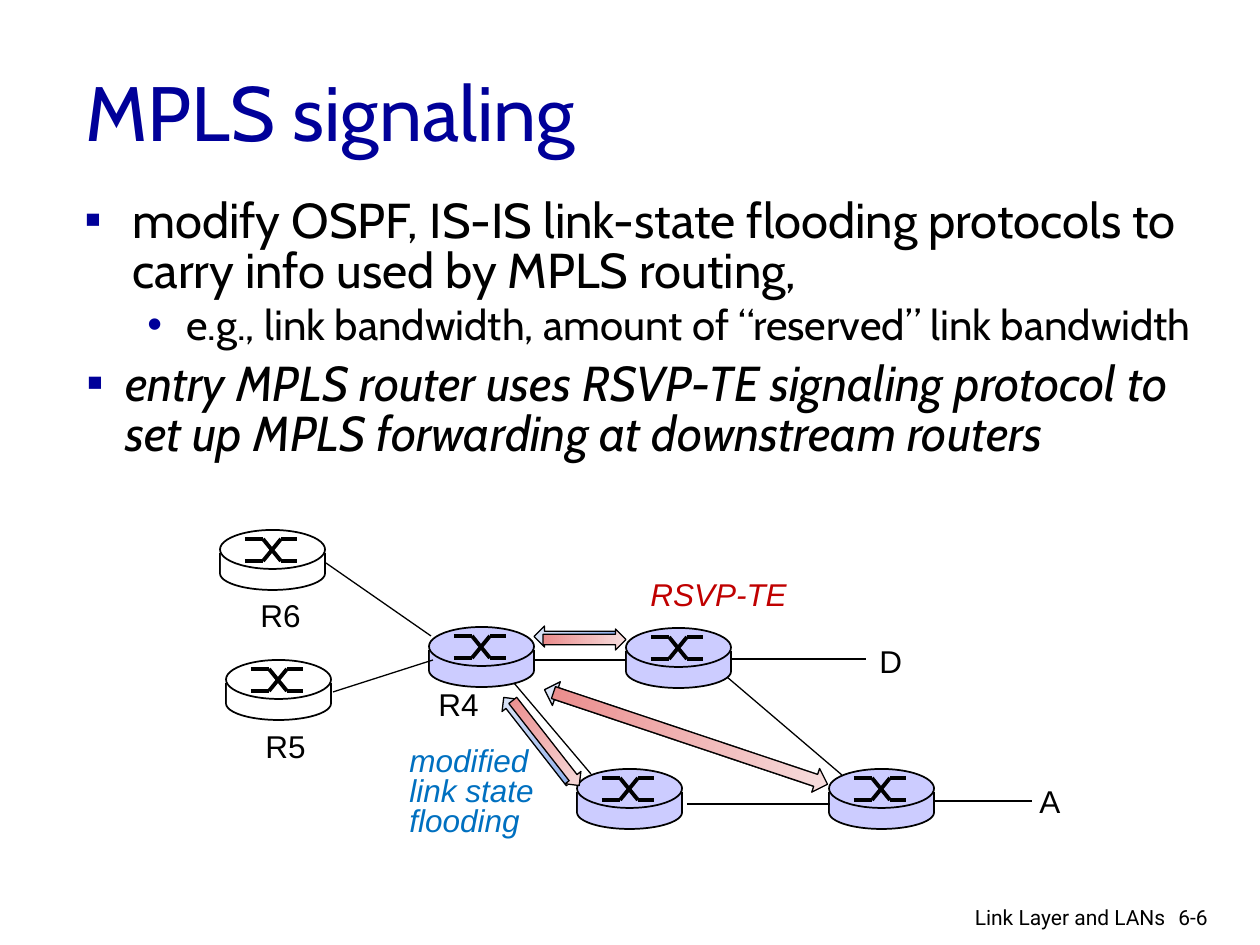
from lxml.etree import SubElement
from pptx import Presentation
from pptx.dml.color import RGBColor
from pptx.enum.shapes import MSO_CONNECTOR, MSO_SHAPE
from pptx.enum.text import MSO_ANCHOR, MSO_AUTO_SIZE, PP_ALIGN
from pptx.oxml.ns import qn
from pptx.util import Pt

SCALE = 914400 / 126

COLORS = {
    "navy": "000099",
    "black": "000000",
    "white": "FFFFFF",
    "lavender": "CCCCFF",
    "blue": "0070C0",
    "red": "C00000",
    "blue_dark": "8CADEA",
    "blue_light": "DEE6F7",
    "red_dark": "EA8C8C",
    "red_light": "F7DEDE",
}


def px(length):
    return round(length * SCALE)


def color(name):
    return RGBColor.from_string(COLORS[name])


def apply_format(target, values):
    for name, value in values.items():
        setattr(target, name, value)


def write(paragraph, text, size, font="Arial", ink="black", italic=False):
    run = paragraph.add_run()
    run.text = text
    apply_format(run.font, {"size": Pt(size), "name": font, "italic": italic})
    run.font.color.rgb = color(ink)


def add_bullet(paragraph, character, margin, hanging):
    properties = paragraph._p.get_or_add_pPr()
    properties.set("marL", str(px(margin)))
    properties.set("indent", str(-px(hanging)))
    bullet_color = SubElement(properties, qn("a:buClr"))
    SubElement(bullet_color, qn("a:srgbClr")).set("val", COLORS["navy"])
    SubElement(properties, qn("a:buFont")).set("typeface", "Arial")
    SubElement(properties, qn("a:buChar")).set("char", character)


def add_title(slide, box, text):
    title = slide.shapes.title
    apply_format(title, dict(zip(("left", "top", "width", "height"), map(px, box))))
    frame = title.text_frame
    apply_format(frame, {"vertical_anchor": MSO_ANCHOR.MIDDLE, "auto_size": MSO_AUTO_SIZE.NONE})
    paragraph = frame.paragraphs[0]
    paragraph.alignment = PP_ALIGN.LEFT
    write(paragraph, text, 44, "Cabin", "navy")


def add_paragraphs(frame, count):
    return [frame.paragraphs[0]] + [frame.add_paragraph() for _ in range(count - 1)]


def add_bullets(slide, box, items, italic=False):
    frame = slide.shapes.add_textbox(*map(px, box)).text_frame
    frame.word_wrap = True
    paragraphs = add_paragraphs(frame, len(items))
    for index, (paragraph, item) in enumerate(zip(paragraphs, items)):
        level, character, margin, hanging, size, text = item
        add_bullet(paragraph, character, margin, hanging)
        space = Pt(size * 0.2) if index else Pt(0)
        apply_format(paragraph, {"level": level, "line_spacing": 0.85, "space_before": space})
        write(paragraph, text, size, "Cabin", italic=italic)


def add_label(slide, box, lines, ink="black", italic=False, spacing=None):
    frame = slide.shapes.add_textbox(*map(px, box)).text_frame
    apply_format(frame, {"word_wrap": False, "auto_size": MSO_AUTO_SIZE.SHAPE_TO_FIT_TEXT})
    for paragraph, line in zip(add_paragraphs(frame, len(lines)), lines):
        paragraph.line_spacing = spacing
        write(paragraph, line, 18, ink=ink, italic=italic)


def add_footer(slide, box, text, alignment):
    frame = slide.shapes.add_textbox(*map(px, box)).text_frame
    frame.word_wrap = True
    paragraph = frame.paragraphs[0]
    paragraph.alignment = alignment
    write(paragraph, text, 12, "Roboto")


def add_line(shapes, start, end, width):
    line = shapes.add_connector(MSO_CONNECTOR.STRAIGHT, *map(px, (*start, *end)))
    line.line.width = Pt(width)
    line.line.color.rgb = color("black")
    SubElement(line._element.spPr, qn("a:effectLst"))


def add_solid(shapes, kind, box, fill, outlined=True):
    shape = shapes.add_shape(kind, *map(px, box))
    shape.shadow.inherit = False
    shape.fill.solid()
    shape.fill.fore_color.rgb = color(fill)
    if outlined:
        shape.line.width = Pt(1)
        shape.line.color.rgb = color("black")
    else:
        shape.line.fill.background()


def add_router(slide, left, top, fill):
    shapes = slide.shapes.add_group_shape().shapes
    width = 105
    add_solid(shapes, MSO_SHAPE.OVAL, (left, top + 27, width, 33), fill)
    for x in (left, left + width):
        add_line(shapes, (x, top + 23), (x, top + 44), 1)
    add_solid(shapes, MSO_SHAPE.RECTANGLE, (left + 1, top + 23, width - 2, 21), fill, False)
    add_solid(shapes, MSO_SHAPE.OVAL, (left, top, width, 39), fill)
    for near, far in ((9, 31), (31, 9)):
        points = [(left + x, top + y) for x, y in ((25, near), (43, near), (61, far), (77, far))]
        add_line(shapes, points[0], points[1], 2.25)
        add_line(shapes, points[1], points[2], 2.25)
        add_line(shapes, points[2], points[3], 2.25)


def add_arrow(slide, box, rotation, dark, light):
    arrow = slide.shapes.add_shape(MSO_SHAPE.RIGHT_ARROW, *map(px, box))
    arrow.shadow.inherit = False
    arrow.rotation = rotation
    arrow.fill.gradient()
    arrow.fill.gradient_angle = 0
    for stop, position, name in zip(arrow.fill.gradient_stops, (0, 1), (dark, light)):
        stop.position = position
        stop.color.rgb = color(name)
    arrow.line.width = Pt(0.75)
    arrow.line.color.rgb = color("black")


def add_network(slide, left, top):
    def place(x, y, *size):
        return (left + x, top + y, *size)

    routers = [
        (609, 239, "lavender"), (357, 239, "lavender"), (406, 98, "lavender"),
        (209, 97, "lavender"), (0, 0, "white"), (6, 130, "white"),
    ]
    for x, y, fill in routers:
        add_router(slide, *place(x, y), fill)

    links = [
        ((106, 33), (211, 106)), ((113, 162), (213, 130)), ((314, 130), (406, 130)),
        ((294, 153), (371, 244)), ((467, 274), (610, 274)), ((507, 147), (622, 245)),
        ((715, 271), (812, 271)), ((512, 129), (646, 129)),
    ]
    for start, end in links:
        add_line(slide.shapes, place(*start), place(*end), 0.75)

    names = [("D", 647, 106, 48), ("R4", 206, 149, 66), ("R5", 33, 191, 66),
             ("A", 807, 246, 47), ("R6", 28, 60, 66)]
    for name, x, y, width in names:
        add_label(slide, place(x, y, width, 50), [name])

    arrows = [(314, 96, 83, 21, 0), (263, 200, 108, 20, 52), (317, 193, 289, 25, 18.5)]
    for x, y, width, height, angle in arrows:
        add_arrow(slide, place(x, y, width, height), angle + 180, "blue_dark", "blue_light")
    add_label(slide, place(177, 213, 160, 103), ["modified", "link state", "flooding"],
              "blue", True, Pt(17))
    for x, y, width, height, angle in arrows:
        add_arrow(slide, place(x + 9, y + 3, width, height), angle, "red_dark", "red_light")
    add_label(slide, place(418, 47, 164, 43), ["RSVP-TE"], "red", True, Pt(17))


def main():
    presentation = Presentation()
    presentation.slide_width = px(1260)
    presentation.slide_height = px(945)
    slide = presentation.slides.add_slide(presentation.slide_layouts[5])

    add_title(slide, (73, 32, 1071, 158), "MPLS signaling")
    add_bullets(slide, (72, 192, 1149, 186), [
        (0, "▪", 48, 48, 28,
         "modify OSPF, IS-IS link-state flooding protocols to carry info used by MPLS routing,"),
        (1, "•", 102, 39, 24, "e.g., link bandwidth, amount of “reserved” link bandwidth"),
    ])
    add_network(slide, 220, 530)
    add_bullets(slide, (74, 355, 1149, 146), [
        (0, "▪", 39, 39, 28,
         "entry MPLS router uses RSVP-TE signaling protocol to set up MPLS forwarding at "
         "downstream routers"),
    ], italic=True)
    add_footer(slide, (1166, 898, 76, 38), "6-6", PP_ALIGN.LEFT)
    add_footer(slide, (878, 898, 300, 33), "Link Layer and LANs", PP_ALIGN.RIGHT)
    presentation.save("out.pptx")


if __name__ == "__main__":
    main()
